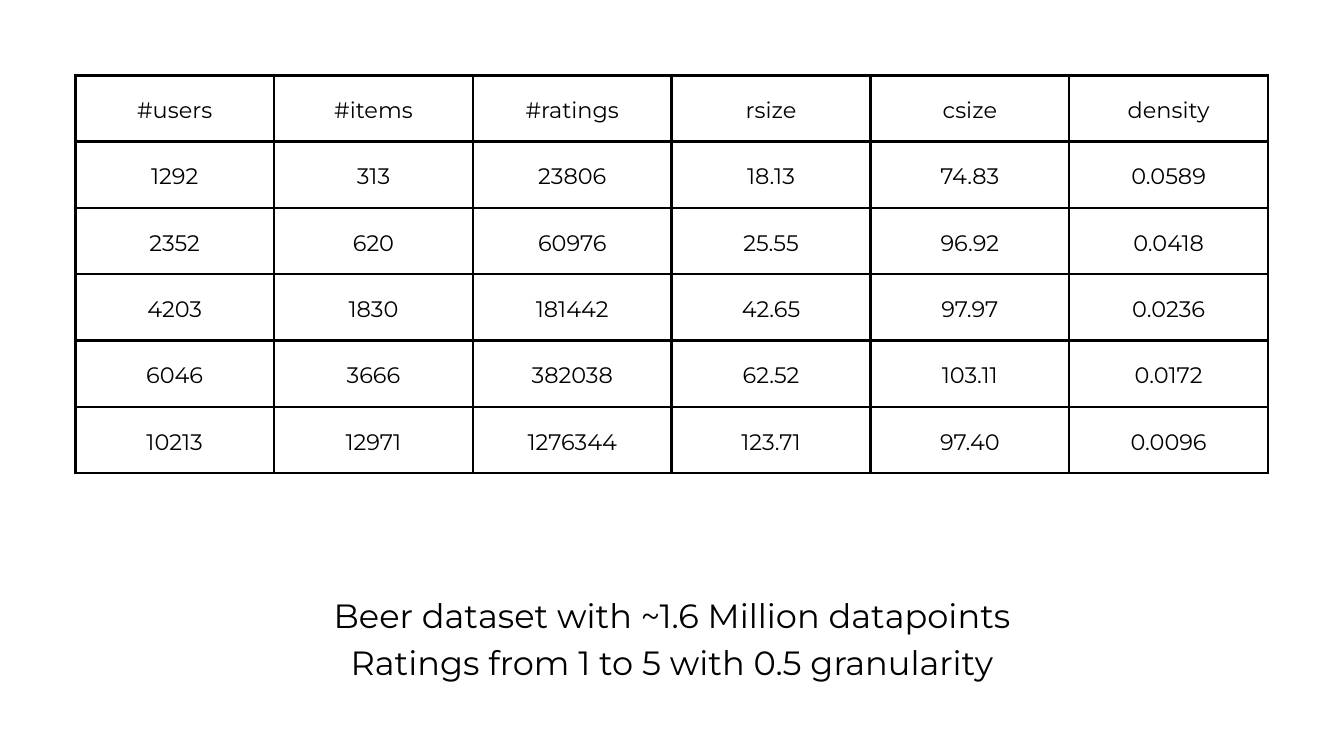
from lxml.etree import SubElement
from pptx import Presentation
from pptx.dml.color import RGBColor
from pptx.enum.text import MSO_ANCHOR, MSO_AUTO_SIZE, PP_ALIGN
from pptx.oxml.ns import qn
from pptx.util import Inches, Pt

WIDTH, HEIGHT = 20, 11.25
MARGIN = 1.12

STATISTICS = [
    ["#users", "#items", "#ratings", "rsize", "csize", "density"],
    ["1292", "313", "23806", "18.13", "74.83", "0.0589"],
    ["2352", "620", "60976", "25.55", "96.92", "0.0418"],
    ["4203", "1830", "181442", "42.65", "97.97", "0.0236"],
    ["6046", "3666", "382038", "62.52", "103.11", "0.0172"],
    ["10213", "12971", "1276344", "123.71", "97.40", "0.0096"],
]
SUMMARY = [
    "Beer dataset with ~1.6 Million datapoints",
    "Ratings from 1 to 5 with 0.5 granularity",
]


def color(value):
    return RGBColor.from_string(value)


class SlideStyle:
    """Draws styled elements on one slide, placed by shares of its size."""

    font_name = "Montserrat"
    ink = "000000"
    leading = 1.4
    cell_margin = Inches(0.21)
    border = Pt(3)

    def __init__(self, slide):
        self.slide = slide

    def area(self, left, top, width, height):
        return (Inches(left * WIDTH), Inches(top * HEIGHT),
                Inches(width * WIDTH), Inches(height * HEIGHT))

    def fill_paragraph(self, paragraph, wording, size):
        paragraph.text = wording
        paragraph.alignment = PP_ALIGN.CENTER
        paragraph.line_spacing = Pt(size * self.leading)
        paragraph.font.name = self.font_name
        paragraph.font.size = Pt(size)
        paragraph.font.color.rgb = color(self.ink)

    def outline(self, cell):
        properties = cell._tc.get_or_add_tcPr()
        for position, side in enumerate(("a:lnL", "a:lnR", "a:lnT", "a:lnB")):
            line = SubElement(properties, qn(side), w=str(self.border))
            fill = SubElement(line, qn("a:solidFill"))
            SubElement(fill, qn("a:srgbClr"), val=self.ink)
            properties.insert(position, line)

    def table(self, rows, share, size):
        grid = self.slide.shapes.add_table(
            len(rows), len(rows[0]), *self.area(*share)).table
        grid.first_row = grid.horz_banding = False
        for row, values in enumerate(rows):
            for column, value in enumerate(values):
                cell = grid.cell(row, column)
                cell.fill.background()
                cell.vertical_anchor = MSO_ANCHOR.MIDDLE
                cell.margin_left = cell.margin_right = self.cell_margin
                cell.margin_top = cell.margin_bottom = self.cell_margin
                self.fill_paragraph(cell.text_frame.paragraphs[0], value, size)
                self.outline(cell)

    def text(self, lines, share, size):
        frame = self.slide.shapes.add_textbox(*self.area(*share)).text_frame
        frame.word_wrap = True
        frame.auto_size = MSO_AUTO_SIZE.SHAPE_TO_FIT_TEXT
        frame.margin_left = frame.margin_right = 0
        frame.margin_top = frame.margin_bottom = 0
        for index, line in enumerate(lines):
            paragraph = frame.add_paragraph() if index else frame.paragraphs[0]
            self.fill_paragraph(paragraph, line, size)


def main():
    presentation = Presentation()
    presentation.slide_width = Inches(WIDTH)
    presentation.slide_height = Inches(HEIGHT)
    style = SlideStyle(
        presentation.slides.add_slide(presentation.slide_layouts[6]))
    style.table(
        STATISTICS,
        (MARGIN / WIDTH, MARGIN / HEIGHT, 17.75 / WIDTH, 5.92 / HEIGHT), 24)
    style.text(
        SUMMARY,
        (2.19 / WIDTH, 8.76 / HEIGHT, 15.62 / WIDTH, 1.37 / HEIGHT), 36)
    presentation.save("out.pptx")


if __name__ == "__main__":
    main()
